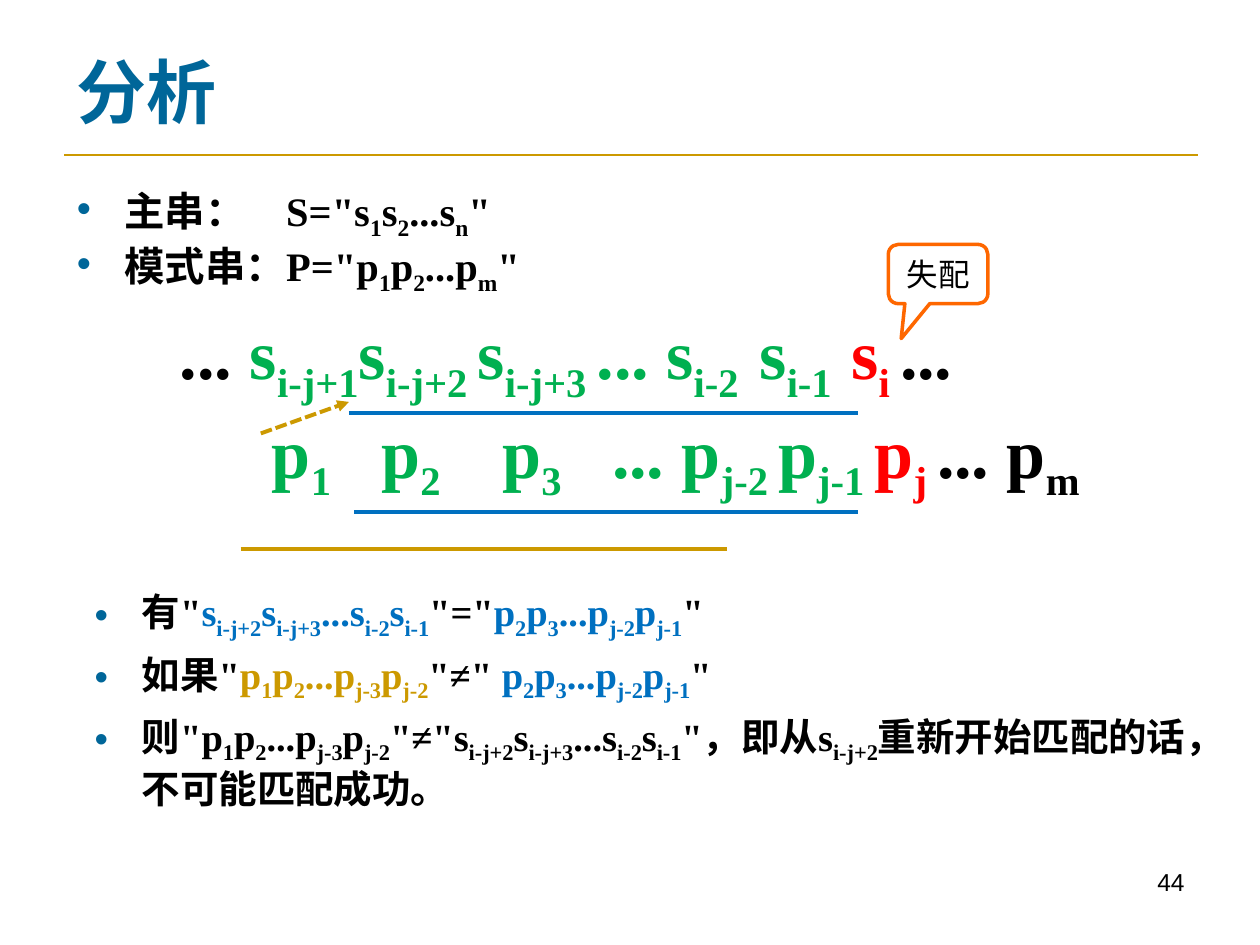
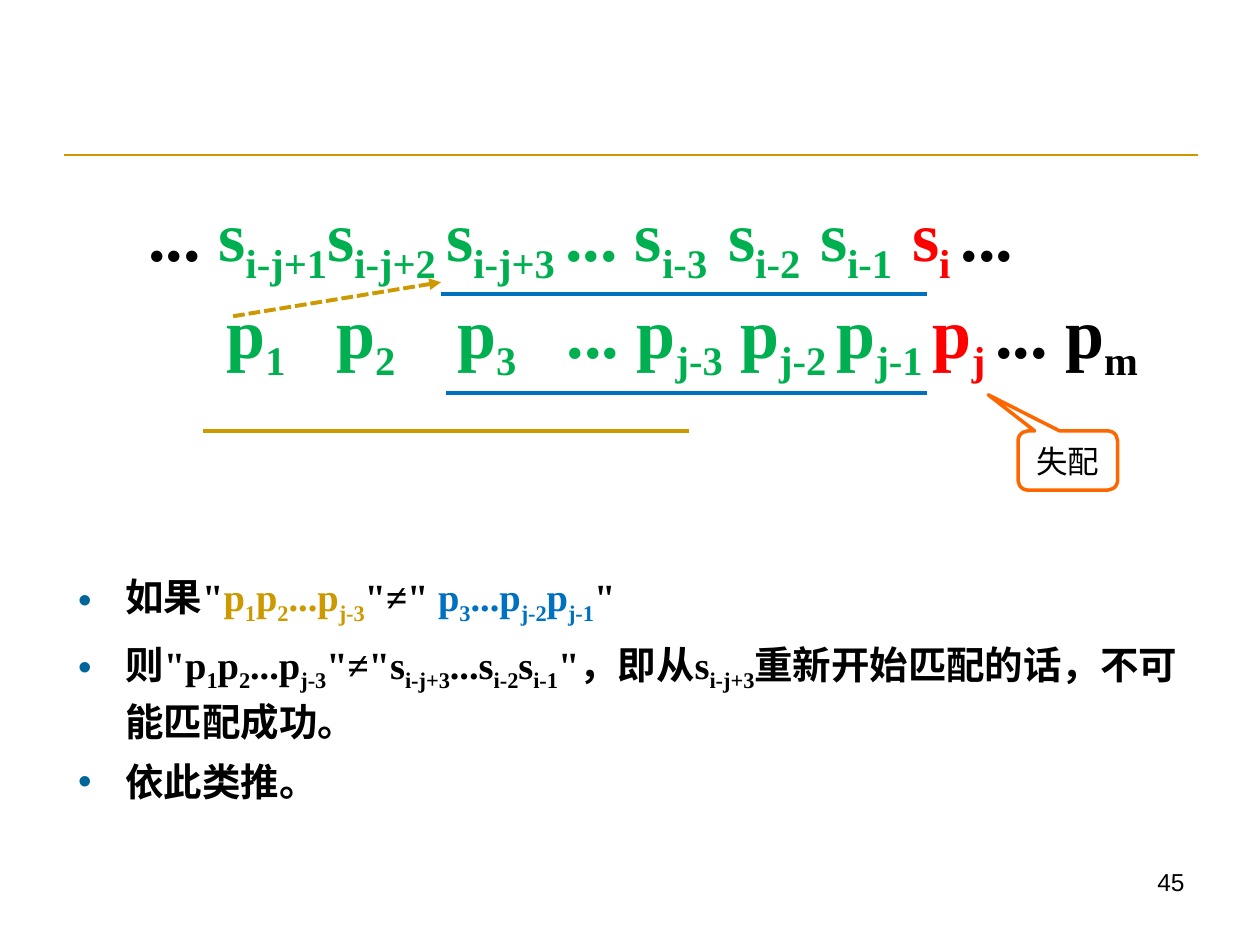
from dataclasses import dataclass

from lxml import etree
from pptx import Presentation
from pptx.dml.color import RGBColor
from pptx.enum import dml, shapes, text
from pptx.oxml import ns
from pptx.util import Inches, Pt


@dataclass(frozen=True)
class Theme:
    ink: str = "000000"
    teal: str = "006699"
    gold: str = "CC9900"
    blue: str = "0070C0"
    green: str = "00B050"
    red: str = "FF0000"
    orange: str = "FE6700"
    font: str = "Times New Roman"
    plain: str = "Arial"
    title: float = 40
    row: float = 40
    intro: float = 23.1
    body: float = 22
    label: float = 18
    page: float = 14


T = Theme()
INK, GOLD, BLUE, GREEN, RED = T.ink, T.gold, T.blue, T.green, T.red


def write(para, parts, size, font=T.font, bold=True):
    """Fill a paragraph from (colour, text) pairs; _..._ marks a subscript."""
    for color, words in parts:
        for i, piece in enumerate(words.split("_")):
            if not piece:
                continue
            run = para.add_run()
            run.text = piece
            run.font.name, run.font.size, run.font.bold = font, Pt(size), bold
            run.font.color.rgb = RGBColor.from_string(color)
            if i % 2:
                run.font._element.set("baseline", "-25000")


def draw(slide, ends, color, width=2.25):
    """Draw a straight line through (x1, y1, x2, y2), without a shadow."""
    line = slide.shapes.add_connector(
        shapes.MSO_CONNECTOR.STRAIGHT, *[Inches(v) for v in ends])
    line.line.color.rgb = RGBColor.from_string(color)
    line.line.width = Pt(width)
    etree.SubElement(line._element.spPr, ns.qn("a:effectLst"))
    return line


# Content: lists are (place, size, line spacing, space before, items)
pages = [
    dict(
        layout=3, page="44", title="分析",
        lists=[
            ((0.51, 1.47, 9, 0.94), T.intro, 0.8, 6.2, [
                [(INK, '主串：　S="s_1_s_2_...s_n_"')],
                [(INK, '模式串：P="p_1_p_2_...p_m_"')],
            ]),
            ((0.65, 4.62, 9, 1.97), T.body, 1.0, 5.5, [
                [(INK, '有"'), (BLUE, "s_i-j+2_s_i-j+3_...s_i-2_s_i-1_"),
                 (INK, '"="'), (BLUE, "p_2_p_3_...p_j-2_p_j-1_"), (INK, '"')],
                [(INK, '如果"'), (GOLD, "p_1_p_2_...p_j-3_p_j-2_"),
                 (INK, '"≠" '), (BLUE, "p_2_p_3_...p_j-2_p_j-1_"), (INK, '"')],
                [(INK, '则"p_1_p_2_...p_j-3_p_j-2_"≠"s_i-j+2_s_i-j+3_...s_i-2_s_i-1_"'
                       "，即从s_i-j+2_重新开始匹配的话，不可能匹配成功。")],
            ]),
        ],
        main=((1.33, 2.41, 6.4, 0.86), "s_i-2\t_s_i-1\t_"),
        pattern=((2.06, 3.19, 6.7, 0.86), "p_j-2 _p_j-1 _"),
        blue=[(2.77, 3.28, 6.81, 3.28), (2.81, 4.06, 6.81, 4.06)],
        gold=(1.91, 4.36, 5.77, 4.36), arrow=(2.07, 3.44, 2.77, 3.19),
        call=(7.05, 1.94, 0.79, 0.47), tip=(-0.37, 1.09),
    ),
    dict(
        layout=1, page="45", title=None,
        lists=[
            ((0.52, 4.46, 9, 2.04), T.body, 1.1, 5.5, [
                [(INK, '如果"'), (GOLD, "p_1_p_2_...p_j-3_"),
                 (INK, '"≠" '), (BLUE, "p_3_...p_j-2_p_j-1_"), (INK, '"')],
                [(INK, '则"p_1_p_2_...p_j-3_"≠"s_i-j+3_...s_i-2_s_i-1_"'
                       "，即从s_i-j+3_重新开始匹配的话，不可能匹配成功。")],
                [(INK, "依此类推。")],
            ]),
        ],
        main=((1.08, 1.47, 7.15, 0.86), "s_i-3\t_s_i-2\t_s_i-1\t_"),
        pattern=((1.7, 2.24, 7.53, 0.86), "p_j-3_ p_j-2 _p_j-1 _"),
        blue=[(3.5, 2.33, 7.36, 2.33), (3.54, 3.12, 7.36, 3.12)],
        gold=(1.61, 3.42, 5.47, 3.42), arrow=(1.85, 2.51, 3.5, 2.24),
        call=(8.08, 3.42, 0.79, 0.47), tip=(-0.8, -1.11),
    ),
]

deck = Presentation()
deck.slide_width, deck.slide_height = Inches(10), Inches(7.5)

for n, page in enumerate(pages):
    slide = deck.slides.add_slide(deck.slide_layouts[page["layout"]])

    # Rule under the title, shared through the master
    if n == 0:
        rule = draw(slide, (0.51, 1.23, 9.51, 1.23), T.gold, 1.5)
        deck.slide_master.shapes._spTree.append(rule._element)

    # Title
    title = slide.shapes.title
    if page["title"]:
        title.left, title.top, title.width, title.height = [
            Inches(v) for v in (0.51, 0.28, 9, 0.87)]
        frame = title.text_frame
        frame.auto_size = text.MSO_AUTO_SIZE.NONE
        frame.vertical_anchor = text.MSO_ANCHOR.MIDDLE
        frame.paragraphs[0].alignment = text.PP_ALIGN.LEFT
        write(frame.paragraphs[0], [(T.teal, page["title"])], T.title)
    else:
        title._element.getparent().remove(title._element)

    # Bulleted lists
    for idx, (place, size, gap, before, items) in enumerate(page["lists"], 1):
        body = slide.placeholders[idx]
        body.left, body.top, body.width, body.height = [Inches(v) for v in place]
        frame = body.text_frame
        frame.auto_size = text.MSO_AUTO_SIZE.NONE
        for i, item in enumerate(items):
            para = frame.add_paragraph() if i else frame.paragraphs[0]
            para.line_spacing, para.space_before = gap, Pt(before)
            dot = etree.SubElement(para._p.get_or_add_pPr(), ns.qn("a:buClr"))
            etree.SubElement(dot, ns.qn("a:srgbClr")).set("val", T.teal)
            write(para, item, size)

    # Main string above pattern, aligned by tab stops
    place, end = page["main"]
    top = (place, (4.6, 5.33, 6.06), [
        (INK, "... "), (GREEN, "s_i-j+1_s_i-j+2 _s_i-j+3 _... " + end),
        (RED, "s_i _"), (INK, "...")])
    place, end = page["pattern"]
    low = (place, (0.87, 1.83, 2.7), [
        (GREEN, "p_1\t_p_2\t_p_3\t_... " + end),
        (RED, "p_j _"), (INK, "... p_m_")])
    for place, stops, parts in (top, low):
        box = slide.shapes.add_textbox(*[Inches(v) for v in place])
        box.text_frame.word_wrap = True
        para = box.text_frame.paragraphs[0]
        tabs = etree.SubElement(para._p.get_or_add_pPr(), ns.qn("a:tabLst"))
        for stop in stops:
            tab = etree.SubElement(tabs, ns.qn("a:tab"))
            tab.set("pos", str(int(Inches(stop))))
            tab.set("algn", "l")
        write(para, parts, T.row)

    # Underlines of the compared parts
    for ends in page["blue"]:
        draw(slide, ends, T.blue)
    draw(slide, page["gold"], T.gold)

    # Dashed arrow to the next start
    arrow = draw(slide, page["arrow"], T.gold)
    arrow.line.dash_style = dml.MSO_LINE.SQUARE_DOT
    head = etree.SubElement(arrow.line._get_or_add_ln(), ns.qn("a:tailEnd"))
    head.set("type", "triangle")

    # Mismatch callout
    call = slide.shapes.add_shape(
        shapes.MSO_SHAPE.ROUNDED_RECTANGULAR_CALLOUT,
        *[Inches(v) for v in page["call"]])
    call.adjustments[0], call.adjustments[1] = page["tip"]
    call.shadow.inherit = False
    call.fill.background()
    call.line.color.rgb = RGBColor.from_string(T.orange)
    call.line.width = Pt(2)
    call.text_frame.vertical_anchor = text.MSO_ANCHOR.MIDDLE
    para = call.text_frame.paragraphs[0]
    para.alignment = text.PP_ALIGN.CENTER
    write(para, [(INK, "失配")], T.label, bold=False)

    # Page number
    foot = slide.shapes.add_textbox(*[Inches(v) for v in (7.17, 6.83, 2.33, 0.52)])
    foot.text_frame.word_wrap = True
    para = foot.text_frame.paragraphs[0]
    para.alignment = text.PP_ALIGN.RIGHT
    write(para, [(INK, page["page"])], T.page, T.plain, False)

deck.save("out.pptx")
